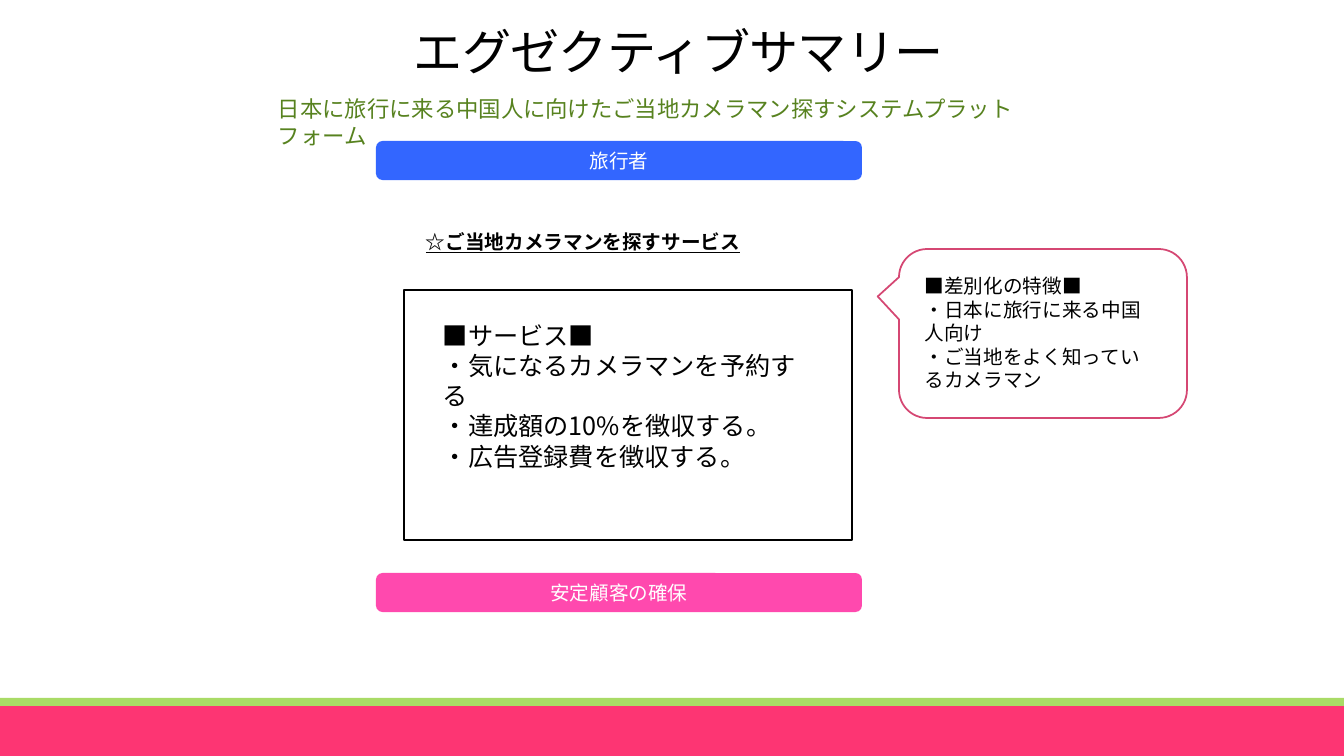
from pptx import Presentation
from pptx.dml.color import RGBColor
from pptx.enum.shapes import MSO_SHAPE
from pptx.enum.text import MSO_ANCHOR, PP_ALIGN
from pptx.oxml.ns import qn
from pptx.util import Emu, Pt

RECT = MSO_SHAPE.RECTANGLE
ROUNDED = MSO_SHAPE.ROUNDED_RECTANGLE
CALLOUT = MSO_SHAPE.ROUNDED_RECTANGULAR_CALLOUT
TOP, MIDDLE = MSO_ANCHOR.TOP, MSO_ANCHOR.MIDDLE
LEFT, CENTER = PP_ALIGN.LEFT, PP_ALIGN.CENTER

BLACK = RGBColor(0x00, 0x00, 0x00)
WHITE = RGBColor(0xFF, 0xFF, 0xFF)
RED = RGBColor(0xFD, 0x35, 0x73)
LIME = RGBColor(0xA9, 0xDB, 0x66)
OLIVE = RGBColor(0x57, 0x82, 0x1F)
ROSE = RGBColor(0xD5, 0x47, 0x73)
BLUE = RGBColor(0x33, 0x66, 0xFF)
PINK = RGBColor(0xFF, 0x49, 0xAE)

TITLE_FONT = "Calibri"
BODY_FONT = "Noto Sans CJK JP"
EMU_PER_PX = 914400 / 100.8
SLIDE_W, SLIDE_H = 1344, 756


def px(*lengths):
    """Turn pixel lengths into EMU."""
    return [Emu(round(length * EMU_PER_PX)) for length in lengths]


def add_panel(slide, kind, box, fill=None, line=None):
    """Add a flat preset shape with an optional fill and outline."""
    panel = slide.shapes.add_shape(kind, *px(*box))
    panel.shadow.inherit = False
    if fill is None:
        panel.fill.background()
    else:
        panel.fill.solid()
        panel.fill.fore_color.rgb = fill
    if line is None:
        panel.line.fill.background()
    else:
        panel.line.color.rgb = line
        panel.line.width = Pt(1.25)
    return panel


def write(holder, lines, size, color=BLACK, align=LEFT, anchor=TOP):
    """Write one paragraph per line in the body font and return the runs."""
    frame = holder.text_frame
    frame.word_wrap = True
    frame.vertical_anchor = anchor
    runs = []
    for index, line in enumerate(lines):
        paragraph = frame.add_paragraph() if index else frame.paragraphs[0]
        paragraph.alignment = align
        run = paragraph.add_run()
        run.text = line
        run.font.size = Pt(size)
        run.font.color.rgb = color
        run.font.name = BODY_FONT
        east_asian = run.font._element.makeelement(qn("a:ea"), {"typeface": BODY_FONT})
        run.font._element.find(qn("a:latin")).addnext(east_asian)
        runs.append(run)
    return runs


def add_text(slide, box, lines, size, color=BLACK):
    """Add a text box and return its runs."""
    return write(slide.shapes.add_textbox(*px(*box)), lines, size, color)


def add_title(slide, box, title):
    """Add the slide title, set tight in the title font."""
    holder = slide.shapes.add_textbox(*px(*box))
    holder.text_frame.word_wrap = True
    holder.text_frame.vertical_anchor = MIDDLE
    paragraph = holder.text_frame.paragraphs[0]
    paragraph.line_spacing = 0.85
    run = paragraph.add_run()
    run.text = title
    run.font.size = Pt(35.1)
    run.font.name = TITLE_FONT
    run.font.color.rgb = BLACK
    run.font._element.set("spc", "-50")


def add_banner(slide, top, label, fill):
    """Add a coloured banner with a centred label."""
    banner = add_panel(slide, ROUNDED, (376, top, 486, 39), fill)
    write(banner, [label], 14, WHITE, CENTER, MIDDLE)


def add_differentiators(slide):
    """Add the speech bubble that lists what sets the service apart."""
    bubble = add_panel(slide, CALLOUT, (899, 249, 288, 169), WHITE, ROSE)
    for index, value in enumerate((-0.574, -0.219, 0.167)):
        bubble.adjustments[index] = value
    features = add_panel(slide, ROUNDED, (909, 274, 256, 118))
    write(features, ["■差別化の特徴■",
                     "・日本に旅行に来る中国人向け",
                     "・ご当地をよく知っているカメラマン"], 14, anchor=MIDDLE)


def main():
    """Build the executive summary slide."""
    prs = Presentation()
    prs.slide_width, prs.slide_height = px(SLIDE_W, SLIDE_H)
    slide = prs.slides.add_slide(prs.slide_layouts[6])

    add_panel(slide, RECT, (0, 706, SLIDE_W, 50), RED)
    add_panel(slide, RECT, (0, 698, SLIDE_W, 8), LIME)
    add_panel(slide, RECT, (404, 290, 448, 250), WHITE, BLACK)

    add_title(slide, (404, 23, 625, 65), "エグゼクティブサマリー")
    heading, = add_text(slide, (416, 225, 360, 34),
                        ["☆ご当地カメラマンを探すサービス"], 14)
    heading.font.bold = True
    heading.font.underline = True
    add_text(slide, (433, 315, 397, 163),
             ["■サービス■",
              "・気になるカメラマンを予約する",
              "・達成額の10%を徴収する。",
              "・広告登録費を徴収する。"], 18)
    add_differentiators(slide)

    add_text(slide, (268, 90, 807, 37),
             ["日本に旅行に来る中国人に向けたご当地カメラマン探すシステムプラットフォーム"],
             16, OLIVE)
    add_banner(slide, 141, "旅行者", BLUE)
    add_banner(slide, 573, "安定顧客の確保", PINK)

    prs.save("out.pptx")


main()
